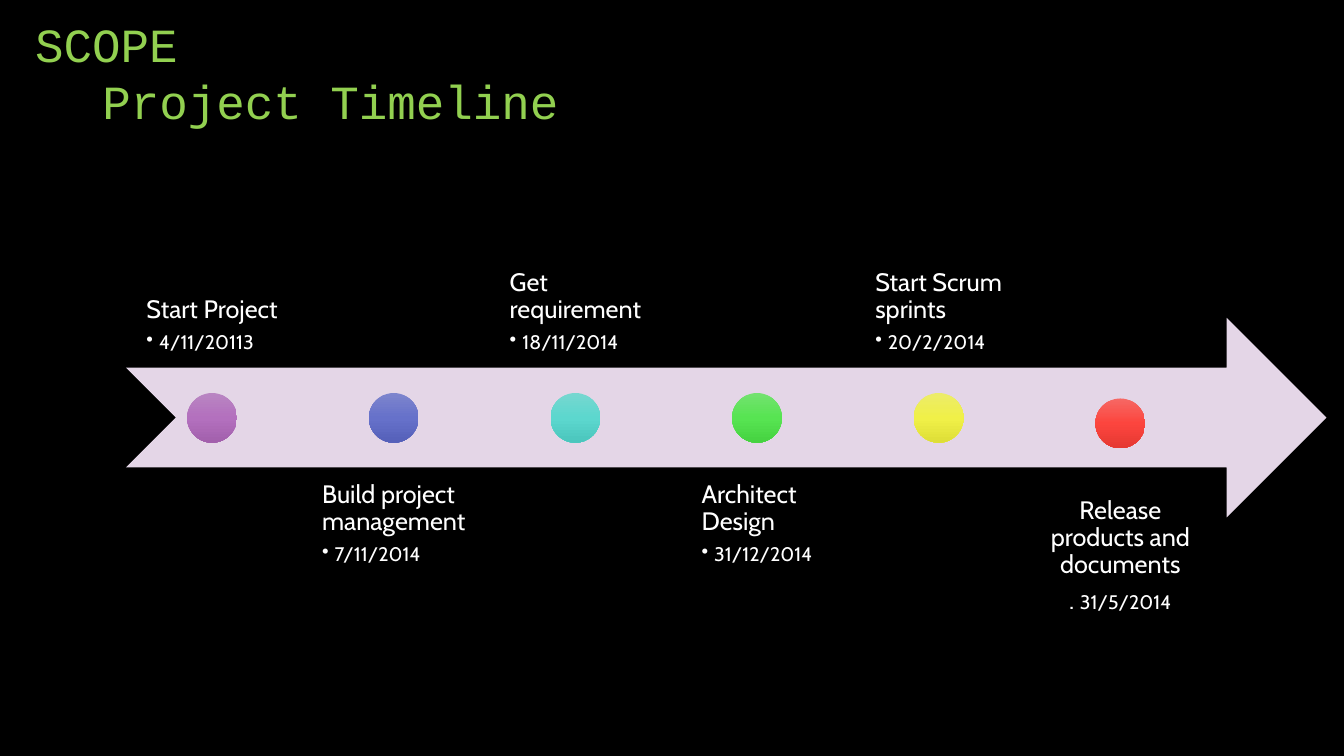
from lxml import etree
from pptx import Presentation
from pptx.dml.color import RGBColor
from pptx.enum.shapes import MSO_SHAPE
from pptx.enum.text import MSO_ANCHOR, MSO_AUTO_SIZE, PP_ALIGN
from pptx.oxml import parse_xml
from pptx.oxml.ns import nsdecls, qn
from pptx.util import Pt

TOP, BOTTOM = MSO_ANCHOR.TOP, MSO_ANCHOR.BOTTOM
LEFT, CENTER = PP_ALIGN.LEFT, PP_ALIGN.CENTER
ARROW, DOT = MSO_SHAPE.NOTCHED_RIGHT_ARROW, MSO_SHAPE.OVAL
BLACK = RGBColor(0x00, 0x00, 0x00)
WHITE = RGBColor(0xFF, 0xFF, 0xFF)
GREEN = RGBColor(0x92, 0xD0, 0x50)
LILAC = RGBColor(0xE4, 0xD6, 0xE7)

# Content: milestone, date, dot shades from top to bottom
SECTION = "SCOPE"
TITLE = "Project Timeline"
MILESTONES = [
    ("Start Project", "4/11/20113", ("B985C2", "B370BE", "A260AC")),
    ("Build project management", "7/11/2014", ("7D85CD", "6671CA", "5560B9")),
    ("Get requirement", "18/11/2014", ("76D7D0", "5CD7CE", "4BC6BD")),
    ("Architect Design", "31/12/2014", ("73E26F", "57E452", "46D241")),
    ("Start Scrum sprints", "20/2/2014", ("ECEC69", "F0F048", "DEDE37")),
    ("Release products and documents", "31/5/2014",
     ("F66864", "FC453E", "E53832")),
]

# Formats
HEADING = dict(name="Courier New", size=Pt(34))
MILESTONE = dict(name="Cabin", size=Pt(18))
DATE = dict(name="Cabin", size=Pt(14))
INSET = Pt(10)
LABEL_FRAME = dict(word_wrap=True, margin_left=INSET, margin_right=INSET,
                   margin_top=INSET, margin_bottom=INSET)
HEADING_FRAME = dict(word_wrap=True, auto_size=MSO_AUTO_SIZE.NONE)

# Layout in points
ARROW_X, ARROW_Y, ARROW_W, ARROW_H = 90, 227, 857.5, 142.5
PITCH = 129.75
LABEL_W = 123
UPPER_Y, LOWER_Y = 120.25, 334
DOT_SIZE = 35.5
DOT_Y = 280.75
RELEASE_DROP = 11.5
RELEASE_DOT_DROP = 3.9


def box(x, y, w, h):
    return [Pt(value) for value in (x, y, w, h)]


def set_all(target, values):
    for key, value in values.items():
        setattr(target, key, value)


def add_run(paragraph, text, style, color):
    run = paragraph.add_run()
    run.text = text
    set_all(run.font, style)
    run.font.color.rgb = color


def write_heading(frame, text, anchor):
    set_all(frame, dict(HEADING_FRAME, vertical_anchor=anchor))
    line = frame.paragraphs[0]
    set_all(line, dict(alignment=LEFT, line_spacing=0.9))
    add_run(line, text, HEADING, GREEN)


def add_plain_shape(kind, place):
    shape = slide.shapes.add_shape(kind, *place)
    shape.shadow.inherit = False
    shape.line.fill.background()
    return shape


def shade(shape, colors):
    stops = "".join(
        f'<a:gs pos="{i * 50000}"><a:srgbClr val="{color}"/></a:gs>'
        for i, color in enumerate(colors))
    gradient = parse_xml(
        f'<a:gradFill {nsdecls("a")} rotWithShape="1"><a:gsLst>{stops}'
        '</a:gsLst><a:lin ang="5400000" scaled="0"/></a:gradFill>')
    shape.fill.background()
    properties = shape.fill._xPr
    properties.replace(properties.find(qn("a:noFill")), gradient)


def add_bullet(paragraph):
    properties = paragraph._p.get_or_add_pPr()
    properties.set("marL", str(Pt(9)))
    properties.set("indent", str(-Pt(9)))
    etree.SubElement(properties, qn("a:buChar")).set("char", "•")


def add_label(place, name, date, anchor, is_release):
    frame = slide.shapes.add_textbox(*place).text_frame
    set_all(frame, dict(LABEL_FRAME, vertical_anchor=anchor))
    name_line, date_line = frame.paragraphs[0], frame.add_paragraph()
    align = CENTER if is_release else LEFT
    for line in (name_line, date_line):
        set_all(line, dict(alignment=align, line_spacing=0.9))
    name_line.space_after = Pt(6.3)
    add_run(name_line, name, MILESTONE, WHITE)
    if is_release:
        add_run(date_line, ". ", MILESTONE, WHITE)
    else:
        # Left-aligned lines sit as one block in the middle of the box
        frame._txBody.bodyPr.set("anchorCtr", "1")
        date_line.level = 1
        add_bullet(date_line)
    add_run(date_line, date, DATE, WHITE)


prs = Presentation()
prs.slide_width, prs.slide_height = Pt(960), Pt(540)
slide = prs.slides.add_slide(prs.slide_layouts[5])
slide.background.fill.solid()
slide.background.fill.fore_color.rgb = BLACK

# Headings
title = slide.shapes.title
title.left, title.top, title.width, title.height = box(66, 48, 720, 48)
write_heading(title.text_frame, TITLE, BOTTOM)
section = slide.shapes.add_textbox(*box(18, 12, 720, 51))
write_heading(section.text_frame, SECTION, TOP)

# Timeline arrow
timeline = add_plain_shape(ARROW, box(ARROW_X, ARROW_Y, ARROW_W, ARROW_H))
timeline.fill.solid()
timeline.fill.fore_color.rgb = LILAC

# Milestones alternate above and below the arrow
for i, (name, date, colors) in enumerate(MILESTONES):
    is_release = i == len(MILESTONES) - 1
    x = ARROW_X + i * PITCH
    y, anchor = (LOWER_Y, TOP) if i % 2 else (UPPER_Y, BOTTOM)
    dot_y = DOT_Y
    if is_release:
        y += RELEASE_DROP
        dot_y += RELEASE_DOT_DROP
    add_label(box(x, y, LABEL_W, ARROW_H), name, date, anchor, is_release)
    dot_x = x + (LABEL_W - DOT_SIZE) / 2
    shade(add_plain_shape(DOT, box(dot_x, dot_y, DOT_SIZE, DOT_SIZE)), colors)

prs.save("out.pptx")
